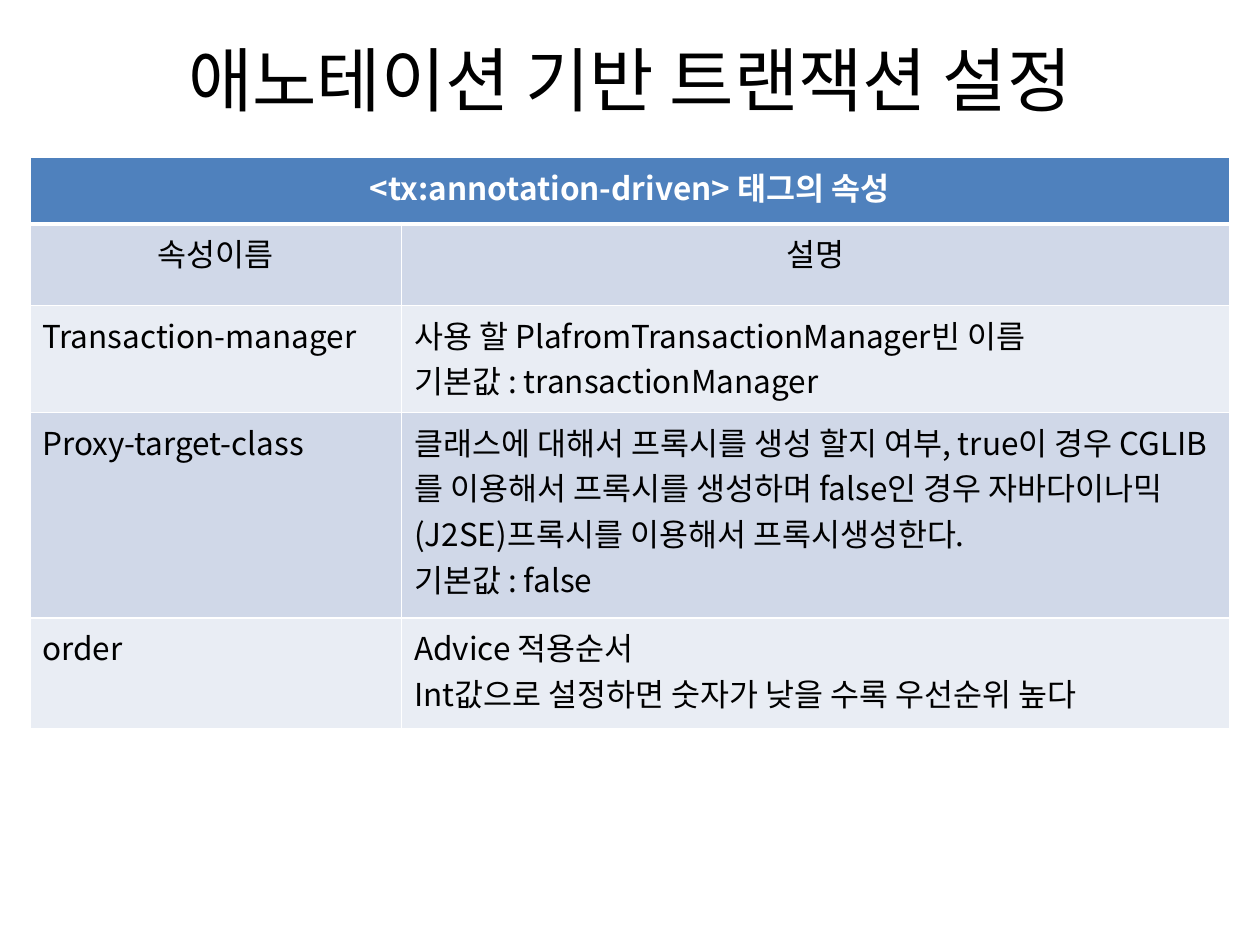
from lxml import etree
from pptx import Presentation
from pptx.dml.color import RGBColor
from pptx.enum.text import MSO_ANCHOR, PP_ALIGN
from pptx.oxml.ns import qn
from pptx.util import Pt

LEFT, CENTER = PP_ALIGN.LEFT, PP_ALIGN.CENTER
TOP, MIDDLE = MSO_ANCHOR.TOP, MSO_ANCHOR.MIDDLE
FONT = "Noto Sans CJK KR"

# Content: each table row lists its cells, each cell its paragraphs
TITLE = "애노테이션 기반 트랜잭션 설정"
ROWS = [
    [["<tx:annotation-driven> 태그의 속성"], []],
    [["속성이름"], ["설명"]],
    [["Transaction-manager"],
     ["사용 할 PlafromTransactionManager빈 이름", "기본값 : transactionManager"]],
    [["Proxy-target-class"],
     ["클래스에 대해서 프록시를 생성 할지 여부, true이 경우 CGLIB를 이용해서 "
      "프록시를 생성하며 false인 경우 자바다이나믹(J2SE)프록시를 이용해서 "
      "프록시생성한다.",
      "기본값 : false"]],
    [["order"],
     ["Advice 적용순서", "Int값으로 설정하면 숫자가 낮을 수록 우선순위 높다"]],
]

# Layout and formats
TITLE_AREA = {"left": 36, "top": 0, "width": 648, "height": 90}
TABLE_LEFT, TABLE_TOP = 17, 90
COLUMN_WIDTHS = [212.5, 473]
ROW_HEIGHTS = [38, 46.5, 61.2, 117.4, 63.4]
BANDS = ["E9EDF4", "D0D8E8"]
HEADER_FILL, WHITE, BLACK = "4F81BD", "FFFFFF", "000000"
TITLE_FORMAT = {"size": Pt(40), "bold": False}
HEADER_FORMAT = {"size": Pt(18), "bold": True}
BODY_FORMAT = {"size": Pt(18), "bold": False}


def color(value):
    return RGBColor.from_string(value)


def write(frame, paragraphs, align, text_color, formats):
    """Fill a text frame with one formatted span per paragraph."""
    for index, text in enumerate(paragraphs):
        para = frame.paragraphs[0] if index == 0 else frame.add_paragraph()
        para.alignment = align
        span = para.add_run()
        span.text = text
        for name, value in formats.items():
            setattr(span.font, name, value)
        span.font.name = FONT
        span.font.color.rgb = color(text_color)
        east_asian = etree.SubElement(span.font._element, qn("a:ea"))
        east_asian.set("typeface", FONT)


def add_borders(cell, widths):
    """Draw white cell edges; call before the cell fill is set."""
    properties = cell._tc.get_or_add_tcPr()
    for side, width in widths.items():
        line = etree.SubElement(properties, qn(f"a:ln{side}"), w=str(Pt(width)))
        fill = etree.SubElement(line, qn("a:solidFill"))
        etree.SubElement(fill, qn("a:srgbClr"), val=WHITE)


deck = Presentation()
deck.slide_width, deck.slide_height = Pt(720), Pt(540)
page = deck.slides.add_slide(deck.slide_layouts[5])

# Title
title = page.shapes.title
for name, value in TITLE_AREA.items():
    setattr(title, name, Pt(value))
title.text_frame.vertical_anchor = MIDDLE
write(title.text_frame, [TITLE], CENTER, BLACK, TITLE_FORMAT)

# Attribute table
table = page.shapes.add_table(
    len(ROWS), len(COLUMN_WIDTHS), Pt(TABLE_LEFT), Pt(TABLE_TOP),
    Pt(sum(COLUMN_WIDTHS)), Pt(sum(ROW_HEIGHTS))).table
for column, width in zip(table.columns, COLUMN_WIDTHS):
    column.width = Pt(width)
for row, height in zip(table.rows, ROW_HEIGHTS):
    row.height = Pt(height)
table.cell(0, 0).merge(table.cell(0, 1))

for r, row in enumerate(ROWS):
    header = r == 0
    for c, paragraphs in enumerate(row):
        cell = table.cell(r, c)
        add_borders(cell, {"L": 1, "R": 1, "T": 3 if r == 1 else 1,
                           "B": 3 if header else 1})
        cell.fill.solid()
        cell.fill.fore_color.rgb = color(HEADER_FILL if header else BANDS[r % 2])
        cell.vertical_anchor = TOP
        write(cell.text_frame, paragraphs, CENTER if r < 2 else LEFT,
              WHITE if header else BLACK,
              HEADER_FORMAT if header else BODY_FORMAT)

deck.save("out.pptx")
